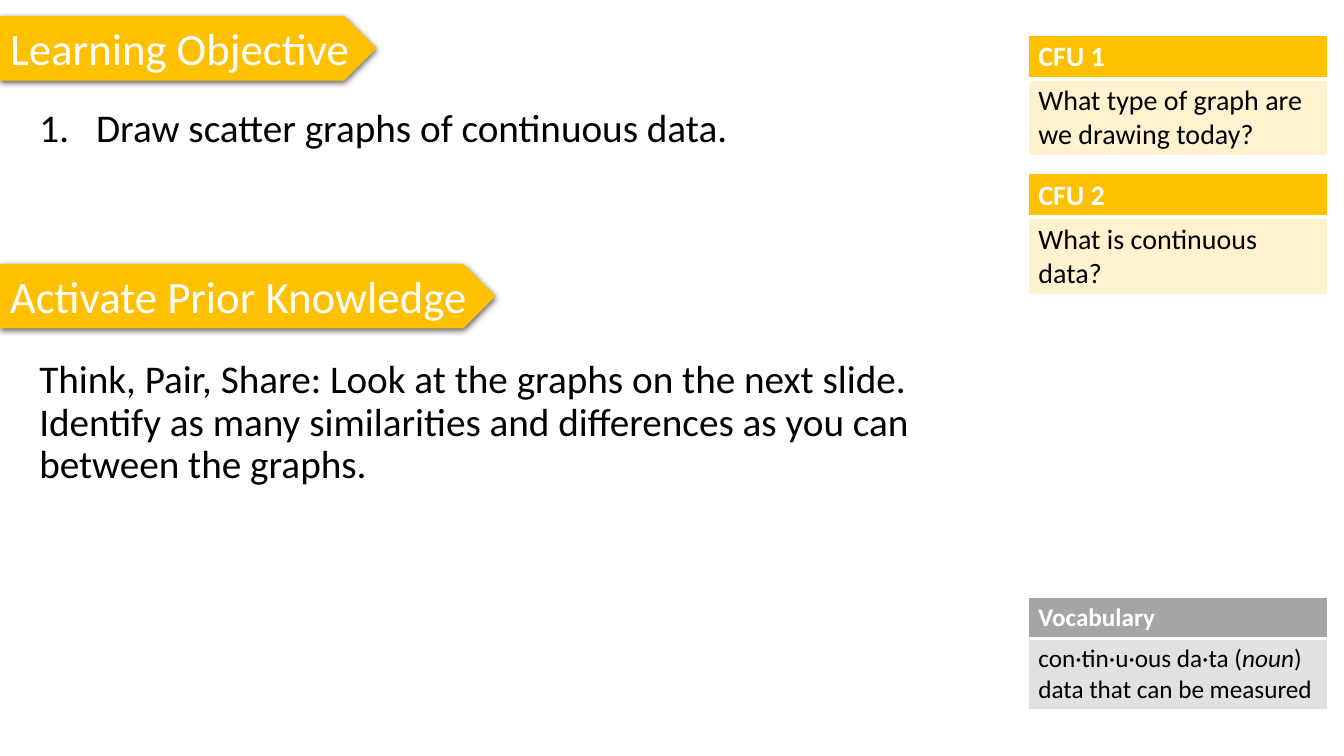
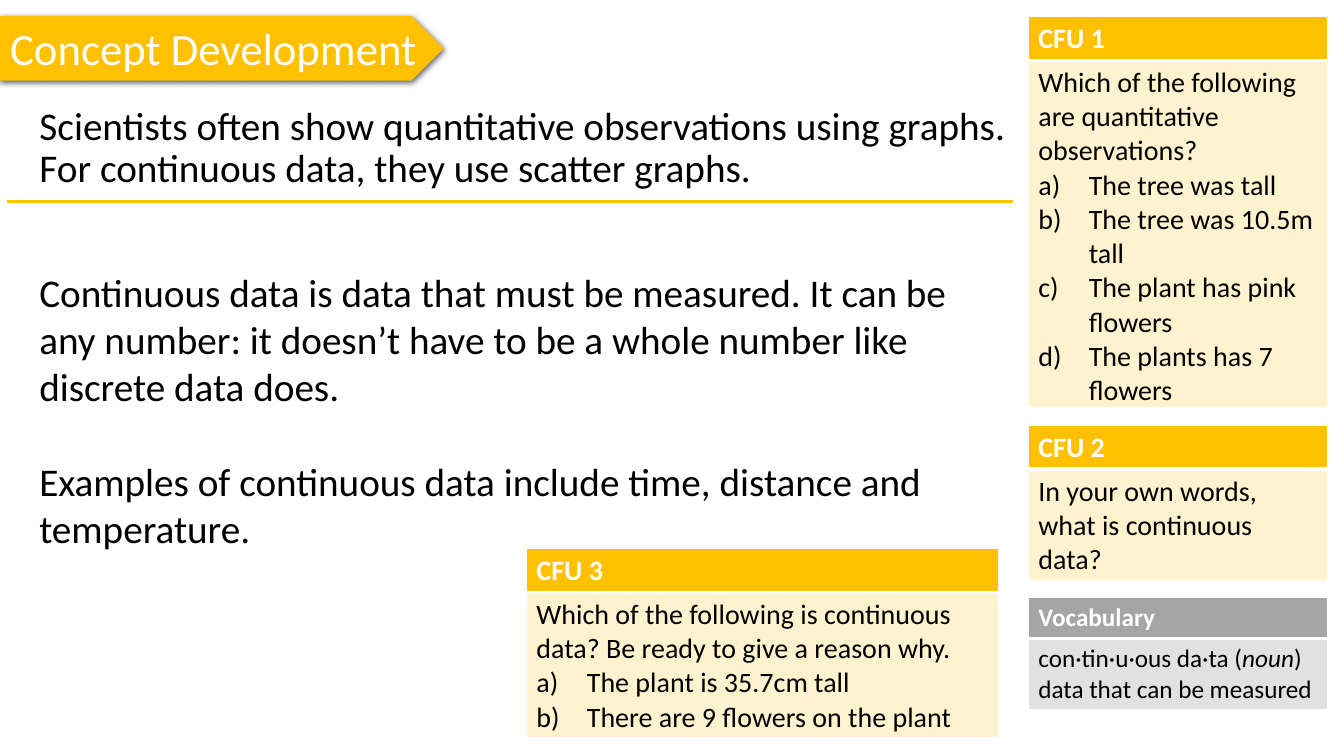
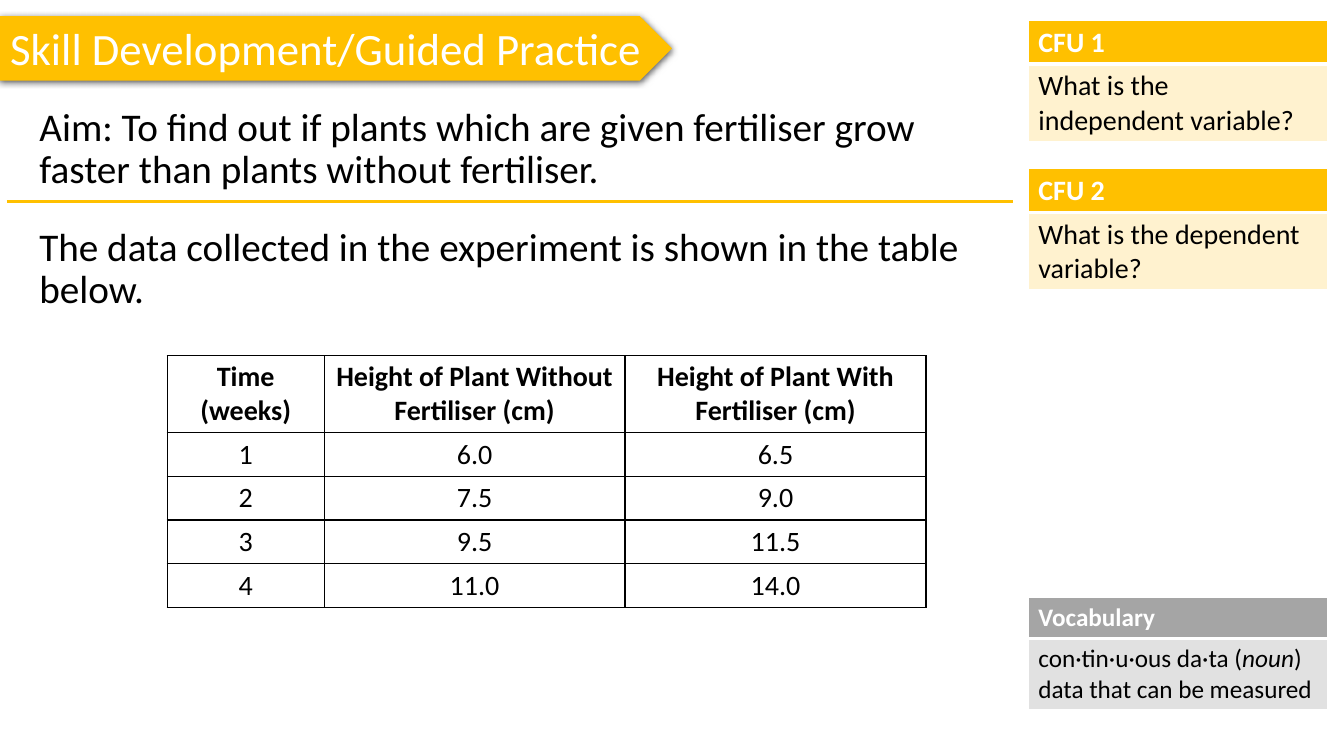
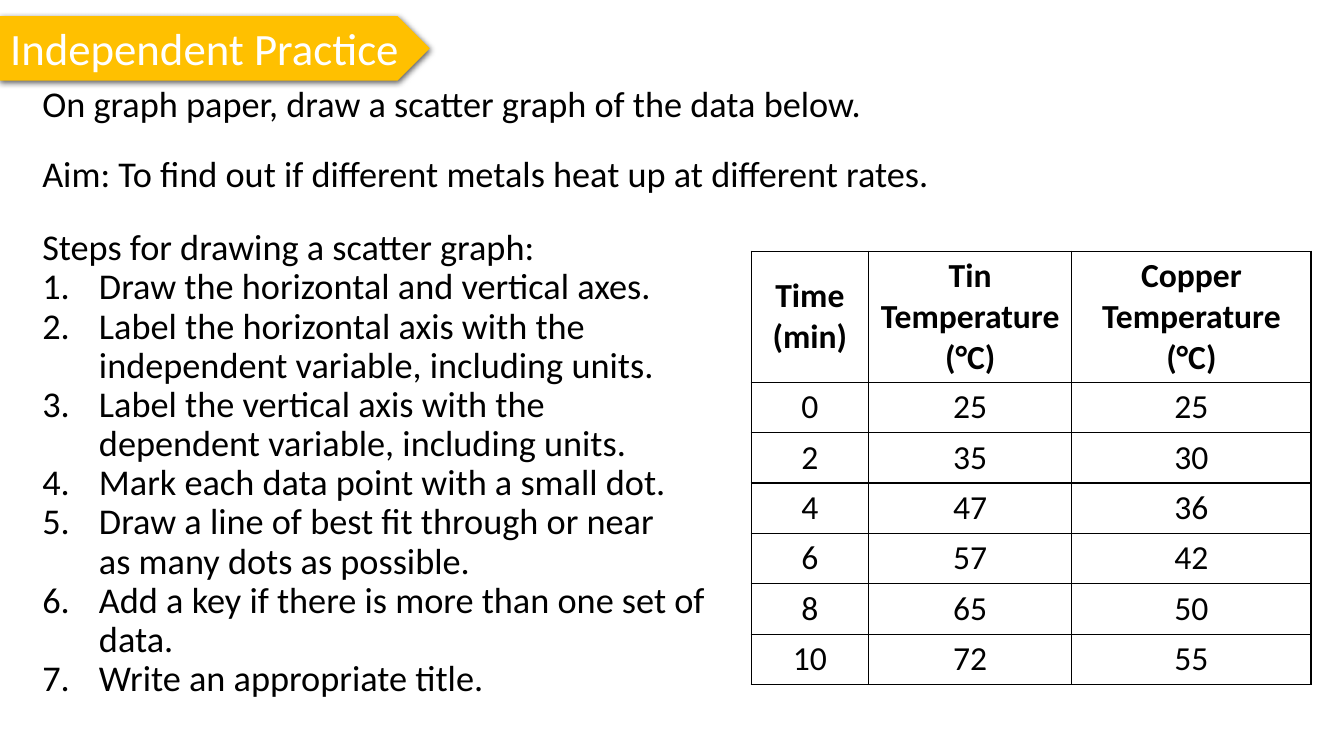
"""Build a four-slide science lesson on scatter graphs of continuous data."""
from lxml.etree import SubElement
from pptx import Presentation
from pptx.dml.color import RGBColor
from pptx.enum.shapes import MSO_CONNECTOR, MSO_SHAPE
from pptx.enum.text import MSO_ANCHOR, MSO_AUTO_SIZE, PP_ALIGN
from pptx.oxml.ns import qn
from pptx.util import Pt

AMBER = RGBColor(0xFF, 0xC0, 0x00)
CREAM = RGBColor(0xFF, 0xF2, 0xCF)
GREY = RGBColor(0xA5, 0xA5, 0xA5)
PALE_GREY = RGBColor(0xE1, 0xE1, 0xE1)
WHITE = RGBColor(0xFF, 0xFF, 0xFF)
BLACK = RGBColor(0x00, 0x00, 0x00)
FONT = "Calibri"
NUMBERS = "arabicPeriod"
LETTERS = "alphaLcParenR"
INDENTS = {None: 0, NUMBERS: 40.5, LETTERS: 36}
SIDE_LEFT, SIDE_WIDTH = 734.5, 214


def write(frame, lines, size, color=BLACK, spacing=1, gap=0, bold=False, align=PP_ALIGN.LEFT):
    """Fill a text frame; a line is plain text or a (numbering, text) pair."""
    for index, line in enumerate(lines):
        numbering, text = (None, line) if isinstance(line, str) else line
        paragraph = frame.paragraphs[0] if index == 0 else frame.add_paragraph()
        paragraph.text = text
        properties = paragraph._p.get_or_add_pPr()
        properties.set("marL", str(Pt(INDENTS[numbering])))
        properties.set("indent", str(-Pt(INDENTS[numbering])))
        if numbering:
            SubElement(properties, qn("a:buAutoNum"), type=numbering)
        else:
            SubElement(properties, qn("a:buNone"))
        paragraph.alignment = align
        paragraph.line_spacing = spacing
        paragraph.space_before = Pt(gap if index and not numbering else 0)
        paragraph.font.name = FONT
        paragraph.font.size = Pt(size)
        paragraph.font.bold = bold
        paragraph.font.color.rgb = color


def set_borders(cell, color, left=1, right=1, top=1, bottom=1):
    """Draw the four borders of a table cell, widths in points."""
    properties = cell._tc.get_or_add_tcPr()
    for side, width in (("L", left), ("R", right), ("T", top), ("B", bottom)):
        border = SubElement(properties, qn(f"a:ln{side}"), w=str(Pt(width)))
        fill = SubElement(border, qn("a:solidFill"))
        SubElement(fill, qn("a:srgbClr"), val=str(color))


presentation = Presentation()
presentation.slide_width, presentation.slide_height = Pt(960), Pt(540)
slides = [presentation.slides.add_slide(presentation.slide_layouts[1]) for _ in range(4)]
objective, concept, skill, practice = slides

banners = [
    (objective, True, "Learning Objective", 11.5, 269),
    (objective, False, "Activate Prior Knowledge", 188.5, 354),
    (concept, True, "Concept Development", 11.5, 317),
    (skill, True, "Skill Development/Guided Practice", 11.5, 480),
    (practice, True, "Independent Practice", 11.5, 307),
]
for slide, is_title, text, top, width in banners:
    box = (0, Pt(top), Pt(width), Pt(46))
    banner = slide.shapes.add_shape(MSO_SHAPE.PENTAGON, *box)
    banner.fill.solid()
    banner.fill.fore_color.rgb = AMBER
    banner.line.fill.background()
    banner.shadow.inherit = False
    effects = banner._element.spPr.find(qn("a:effectLst"))
    shadow = SubElement(effects, qn("a:outerShdw"), blurRad=str(Pt(4.5)), dist=str(Pt(1.5)),
                        dir="5400000", algn="ctr", rotWithShape="0")
    shadow_color = SubElement(shadow, qn("a:srgbClr"), val=str(BLACK))
    SubElement(shadow_color, qn("a:alpha"), val="63000")
    label = banner
    if is_title:
        slide.shapes._spTree.insert(2, banner._element)
        label = slide.shapes.title
        label.left, label.top, label.width, label.height = box
    frame = label.text_frame
    frame.word_wrap = is_title
    frame.auto_size = MSO_AUTO_SIZE.NONE
    frame.vertical_anchor = MSO_ANCHOR.TOP
    write(frame, [text], 32, WHITE)

steps = [
    "Draw the horizontal and vertical axes.",
    "Label the horizontal axis with the\nindependent variable, including units.",
    "Label the vertical axis with the\ndependent variable, including units.",
    "Mark each data point with a small dot.",
    "Draw a line of best fit through or near\nas many dots as possible.",
    "Add a key if there is more than one set of\ndata.",
    "Write an appropriate title.",
]
bodies = [
    (objective, (21, 70, 703, 41), 28, 1, [(NUMBERS, "Draw scatter graphs of continuous data.")]),
    (concept, (21, 72.5, 710, 103), 28, 0.9, [
        "Scientists often show quantitative observations using graphs. "
        "For continuous data, they use scatter graphs."]),
    (skill, (21, 73, 703, 94), 28, 0.9, [
        "Aim: To find out if plants which are given fertiliser grow faster "
        "than plants without fertiliser."]),
    (practice, (23, 60.5, 914, 468), 25.9, 0.9, [
        "On graph paper, draw a scatter graph of the data below.",
        "Aim: To find out if different metals heat up at different rates.",
        "Steps for drawing a scatter graph:",
        *((NUMBERS, step) for step in steps)]),
]
for slide, box, size, spacing, lines in bodies:
    body = slide.placeholders[1]
    body.left, body.top, body.width, body.height = map(Pt, box)
    body.text_frame.auto_size = MSO_AUTO_SIZE.NONE
    write(body.text_frame, lines, size, spacing=spacing, gap=25)
for paragraph in practice.placeholders[1].text_frame.paragraphs[:2]:
    paragraph.line_spacing = 0.8

notes = [
    (objective, (21, 253.5, 703, 245), 0.9, [
        "Think, Pair, Share: Look at the graphs on the next slide. Identify as many "
        "similarities and differences as you can between the graphs."]),
    (concept, (21, 188, 695, 290), 1, [
        "Continuous data is data that must be measured. It can be any number: "
        "it doesn’t have to be a whole number like discrete data does.",
        "Examples of continuous data include time, distance and temperature."]),
    (skill, (21, 159, 703, 94), 0.9, [
        "The data collected in the experiment is shown in the table below."]),
]
for slide, box, spacing, lines in notes:
    frame = slide.shapes.add_textbox(*map(Pt, box)).text_frame
    frame.word_wrap = True
    write(frame, lines, 28, spacing=spacing, gap=34)

for slide in (concept, skill):
    rule = slide.shapes.add_connector(MSO_CONNECTOR.STRAIGHT, Pt(5), Pt(144), Pt(723.5), Pt(144))
    rule.line.color.rgb = AMBER
    rule.line.width = Pt(2.25)
    SubElement(rule._element.spPr, qn("a:effectLst"))

side = (SIDE_LEFT, SIDE_WIDTH)
check_style = (20, 31, AMBER, CREAM)
vocabulary_style = (18, 29, GREY, PALE_GREY)
cards = [
    (objective, side, 25, 86, check_style, "CFU 1", ["What type of graph are we drawing today?"]),
    (objective, side, 124, 86, check_style, "CFU 2", ["What is continuous data?"]),
    (concept, side, 12, 279, check_style, "CFU 1", [
        "Which of the following are quantitative observations?",
        (LETTERS, "The tree was tall"),
        (LETTERS, "The tree was 10.5m tall"),
        (LETTERS, "The plant has pink flowers"),
        (LETTERS, "The plants has 7 flowers")]),
    (concept, side, 304, 110, check_style, "CFU 2", ["In your own words, what is continuous data?"]),
    (concept, (376, 337), 392, 134.5, check_style, "CFU 3", [
        "Which of the following is continuous data? Be ready to give a reason why.",
        (LETTERS, "The plant is 35.7cm tall"),
        (LETTERS, "There are 9 flowers on the plant")]),
    (skill, side, 14.5, 86, check_style, "CFU 1", ["What is the independent variable?"]),
    (skill, side, 120.5, 86, check_style, "CFU 2", ["What is the dependent variable?"]),
]
cards += [(slide, side, 427, 80, vocabulary_style, "Vocabulary", ["con·tin·u·ous da·ta ("])
          for slide in (objective, concept, skill)]
for slide, (left, width), top, height, style, heading, lines in cards:
    size, heading_height, heading_fill, body_fill = style
    table = slide.shapes.add_table(2, 1, Pt(left), Pt(top), Pt(width), Pt(height)).table
    table.horz_banding = False
    table.rows[0].height = Pt(heading_height)
    table.rows[1].height = Pt(height - heading_height)
    heading_cell, body_cell = table.cell(0, 0), table.cell(1, 0)
    set_borders(heading_cell, WHITE, bottom=3)
    set_borders(body_cell, WHITE, top=3)
    for cell, fill in ((heading_cell, heading_fill), (body_cell, body_fill)):
        cell.fill.solid()
        cell.fill.fore_color.rgb = fill
    write(heading_cell.text_frame, [heading], size, WHITE, bold=True)
    write(body_cell.text_frame, lines, size)
    if style is vocabulary_style:
        paragraph = body_cell.text_frame.paragraphs[0]
        word_class = paragraph.add_run()
        word_class.text = "noun"
        word_class.font.italic = True
        paragraph.add_run().text = ") data that can be measured"

data_tables = [
    (skill, (119.5, 254), (112, 215, 215), 55, 31.25, 20, [
        ("Time (weeks)", "Height of Plant Without Fertiliser (cm)", "Height of Plant With Fertiliser (cm)"),
        ("1", "6.0", "6.5"),
        ("2", "7.5", "9.0"),
        ("3", "9.5", "11.5"),
        ("4", "11.0", "14.0")]),
    (practice, (536.5, 179.5), (84, 145, 171), 93.5, 36, 24, [
        ("Time (min)", "Tin Temperature (°C)", "Copper Temperature (°C)"),
        ("0", "25", "25"),
        ("2", "35", "30"),
        ("4", "47", "36"),
        ("6", "57", "42"),
        ("8", "65", "50"),
        ("10", "72", "55")]),
]
for slide, (left, top), widths, heading_height, row_height, size, rows in data_tables:
    height = heading_height + row_height * (len(rows) - 1)
    table = slide.shapes.add_table(len(rows), len(widths), Pt(left), Pt(top),
                                   Pt(sum(widths)), Pt(height)).table
    table.first_row = table.horz_banding = False
    for column, width in zip(table.columns, widths):
        column.width = Pt(width)
    for row_index, row in enumerate(rows):
        table.rows[row_index].height = Pt(row_height if row_index else heading_height)
        for column_index, text in enumerate(row):
            cell = table.cell(row_index, column_index)
            set_borders(cell, BLACK)
            cell.fill.background()
            cell.vertical_anchor = MSO_ANCHOR.MIDDLE
            cell.margin_top = cell.margin_bottom = Pt(2.5)
            write(cell.text_frame, [text], size, bold=row_index == 0, align=PP_ALIGN.CENTER)

presentation.save("out.pptx")
